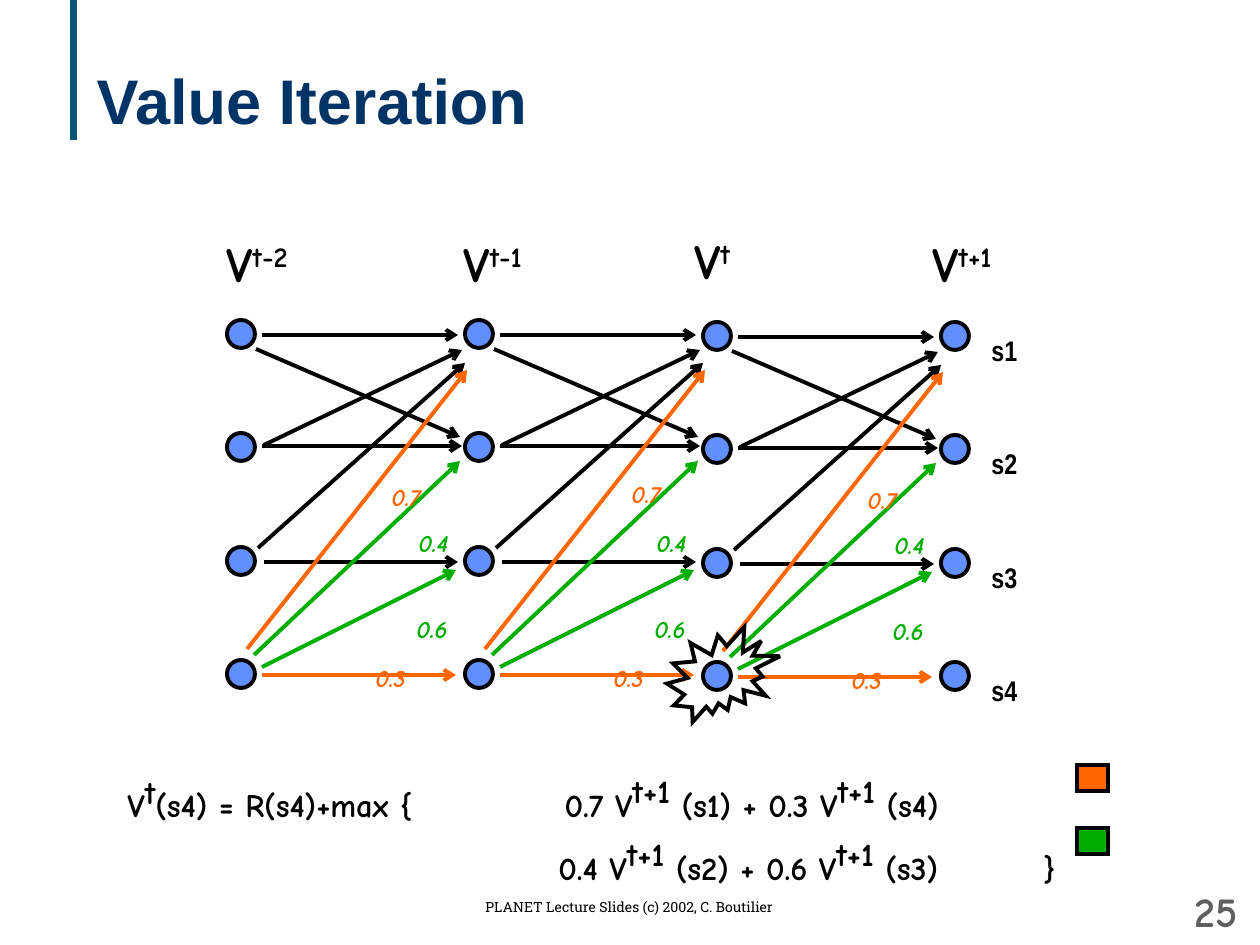
from lxml.etree import SubElement
from pptx import Presentation
from pptx.dml.color import RGBColor
from pptx.enum.shapes import MSO_CONNECTOR, MSO_SHAPE
from pptx.enum.text import MSO_ANCHOR, MSO_AUTO_SIZE, PP_ALIGN
from pptx.oxml.ns import qn
from pptx.util import Emu, Pt

PX_PER_INCH = 126
BLACK = RGBColor(0x00, 0x00, 0x00)
NAVY = RGBColor(0x00, 0x33, 0x66)
TEAL = RGBColor(0x07, 0x54, 0x7A)
GRAY = RGBColor(0x5F, 0x5F, 0x5F)
BLUE = RGBColor(0x61, 0x8F, 0xFD)
ORANGE = RGBColor(0xFF, 0x66, 0x00)
GREEN = RGBColor(0x00, 0xAE, 0x00)

COLUMN_STEP = 238
COLUMN_DROPS = (0, 0, 2, 2)
NODE_LEFT, NODE_SIZE = 227, 28
NODE_TOPS = (320, 433, 547, 660)

# Transitions between the first two columns: start x, y, end x, y, colour
TRANSITIONS = (
    (262, 335, 458, 335, BLACK),
    (256, 349, 460, 437, BLACK),
    (262, 446, 462, 446, BLACK),
    (264, 445, 462, 350, BLACK),
    (258, 548, 465, 363, BLACK),
    (264, 562, 458, 562, BLACK),
    (262, 675, 456, 675, ORANGE),
    (262, 667, 456, 570, GREEN),
    (254, 655, 460, 461, GREEN),
    (247, 649, 467, 370, ORANGE),
)
PROBABILITIES = (
    ("0.3", 363, 635, ORANGE),
    ("0.4", 406, 500, GREEN),
    ("0.6", 404, 586, GREEN),
)
# The 0.7 labels sit at their own height in each panel
STEEP_LABELS = ((379, 454), (619, 451), (855, 457))

# Column headings: superscript, left, top
HEADINGS = (("t-2", 214, 227), ("t-1", 451, 227), ("t", 682, 224), ("t+1", 920, 227))


def px(length):
    return Emu(round(length * 914400 / PX_PER_INCH))


class SlideBuilder:
    font = "Comic Neue"
    line_width = 2.25

    def __init__(self, page):
        self.page = page

    def title(self, text, left, top, width, height):
        box = self.page.shapes.title
        box.left, box.top, box.width, box.height = map(px, (left, top, width, height))
        frame = box.text_frame
        frame.text = text
        frame.vertical_anchor = MSO_ANCHOR.MIDDLE
        paragraph = frame.paragraphs[0]
        paragraph.alignment = PP_ALIGN.LEFT
        self.style(paragraph.runs[0], 36, NAVY, "Arial")

    def style(self, span, size, color, font=None, bold=True, italic=False):
        span.font.name = font or self.font
        span.font.size = Pt(size)
        span.font.bold = bold
        span.font.italic = italic
        span.font.color.rgb = color

    def text(self, spans, left, top, width, height, size, color=BLACK, font=None,
             bold=True, italic=False, align=PP_ALIGN.LEFT, grow=True,
             anchor=MSO_ANCHOR.TOP):
        """Spans are pairs of text and baseline shift in percent."""
        box = self.page.shapes.add_textbox(*map(px, (left, top, width, height)))
        frame = box.text_frame
        frame.word_wrap = True
        frame.auto_size = MSO_AUTO_SIZE.SHAPE_TO_FIT_TEXT if grow else MSO_AUTO_SIZE.NONE
        frame.vertical_anchor = anchor
        paragraph = frame.paragraphs[0]
        paragraph.alignment = align
        for words, shift in spans:
            span = paragraph.add_run()
            span.text = words
            self.style(span, size, color, font, bold, italic)
            if shift:
                span.font._element.set("baseline", str(shift * 1000))

    def line(self, start_x, start_y, end_x, end_y, color, width=None, arrow=True):
        line = self.page.shapes.add_connector(
            MSO_CONNECTOR.STRAIGHT, *map(px, (start_x, start_y, end_x, end_y)))
        line.line.color.rgb = color
        line.line.width = Pt(width or self.line_width)
        if arrow:
            SubElement(line.line._get_or_add_ln(), qn("a:tailEnd"), type="arrow")
        SubElement(line._element.spPr, qn("a:effectLst"))

    def shape(self, kind, left, top, width, height, fill=None):
        shape = self.page.shapes.add_shape(kind, *map(px, (left, top, width, height)))
        shape.shadow.inherit = False
        if fill is None:
            shape.fill.background()
        else:
            shape.fill.solid()
            shape.fill.fore_color.rgb = fill
        shape.line.color.rgb = BLACK
        shape.line.width = Pt(self.line_width)
        SubElement(shape.line._get_or_add_ln(), qn("a:miter"), lim="800000")

    def probability(self, text, left, top, color):
        self.text([(text, -10)], left, top, 62, 64, 24, color, italic=True)

    def formula(self, spans, left, top, width, align=PP_ALIGN.LEFT):
        self.text(spans, left, top, width, 81, 32, align=align)


def backup_terms(first, first_state, second, second_state):
    return [(f"{first} V", -10), ("t+1", 16), (f" ({first_state}) + {second} V", -10),
            ("t+1", 16), (f" ({second_state})", -10)]


def main():
    deck = Presentation()
    deck.slide_width, deck.slide_height = px(1260), px(945)
    builder = SlideBuilder(deck.slides.add_slide(deck.slide_layouts[5]))

    # Title with accent bar
    builder.line(74, 0, 74, 140, TEAL, width=4, arrow=False)
    builder.title("Value Iteration", 84, 20, 1124, 158)

    # Transitions and their probabilities
    for panel, (steep_left, steep_top) in enumerate(STEEP_LABELS):
        shift, drop = panel * COLUMN_STEP, COLUMN_DROPS[panel]
        for start_x, start_y, end_x, end_y, color in TRANSITIONS:
            builder.line(start_x + shift, start_y + drop, end_x + shift, end_y + drop, color)
        for label, left, top, color in PROBABILITIES:
            builder.probability(label, left + shift, top + drop, color)
        builder.probability("0.7", steep_left, steep_top, ORANGE)

    # State nodes and column headings
    for column, (power, left, top) in enumerate(HEADINGS):
        builder.text([("V", 0), (power, 30)], left, top, 92, 72, 28)
        for node_top in NODE_TOPS:
            builder.shape(MSO_SHAPE.OVAL, NODE_LEFT + column * COLUMN_STEP,
                          node_top + COLUMN_DROPS[column], NODE_SIZE, NODE_SIZE, BLUE)

    # State names
    for number, node_top in enumerate(NODE_TOPS, start=1):
        builder.text([(f"s{number}", -10)], 979, node_top - 19, 58, 73, 28,
                     font="Arial Narrow")

    # Highlight of the state being backed up
    builder.shape(MSO_SHAPE.EXPLOSION2, 667, 627, 113, 95)

    # Backup equation with its colour key
    builder.formula([("V", -10), ("t", 14), ("(s4) = R(s4)+max {", -10)], 115, 750, 316)
    builder.formula(backup_terms("0.7", "s1", "0.3", "s4"), 546, 750, 405, PP_ALIGN.RIGHT)
    builder.formula(backup_terms("0.4", "s2", "0.6", "s3"), 546, 813, 412)
    builder.formula([("}", -10)], 1031, 813, 42)
    for top, color in ((765, ORANGE), (828, GREEN)):
        builder.shape(MSO_SHAPE.RECTANGLE, 1077, top, 31, 26, color)

    # Footer and page number
    builder.text([("PLANET Lecture Slides (c) 2002, C. Boutilier", 0)], 346, 892, 567, 32, 8,
                 font="Roboto Slab", bold=False, align=PP_ALIGN.CENTER, grow=False)
    builder.text([("25", 0)], 1159, 886, 91, 50, 24, GRAY, align=PP_ALIGN.RIGHT,
                 grow=False, anchor=MSO_ANCHOR.MIDDLE)

    deck.save("out.pptx")


if __name__ == "__main__":
    main()
